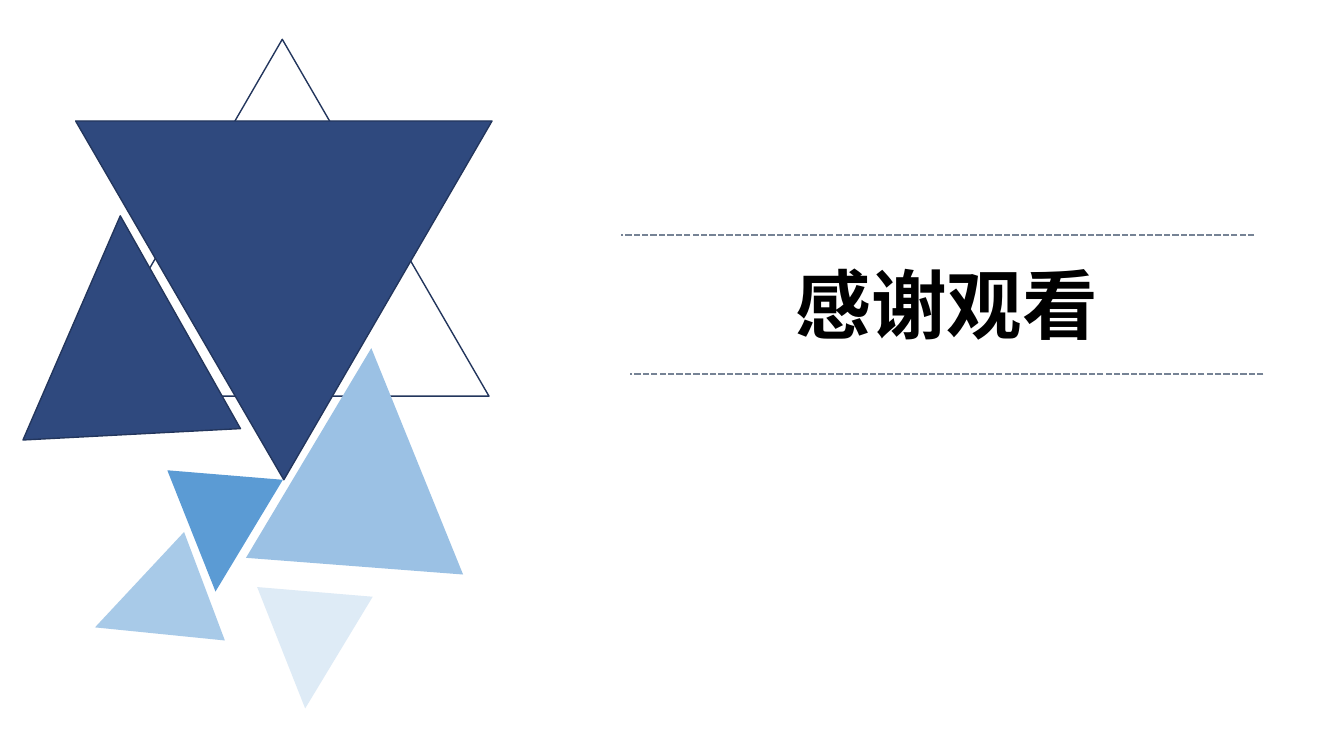
from dataclasses import dataclass

from lxml import etree
from pptx import Presentation
from pptx import util as u
from pptx.dml.color import RGBColor
from pptx.enum import dml, shapes, text
from pptx.oxml import ns


@dataclass(frozen=True)
class Theme:
    navy: str = "2F497E"
    outline: str = "23365D"
    blue: str = "5B9BD4"
    light_blue: str = "9BC1E4"
    rule: str = "768395"
    title: str = "000000"
    font: str = "Noto Sans CJK SC"
    title_size: int = 54
    outline_width: float = 1
    rule_width: float = 1.5


THEME = Theme()


def add_triangle(slide, box, rotation=0, fill=None, line=None, opacity=100):
    shape = slide.shapes.add_shape(
        shapes.MSO_SHAPE.ISOSCELES_TRIANGLE, *map(u.Inches, box))
    shape.rotation = rotation
    shape.shadow.inherit = False
    if fill:
        shape.fill.solid()
        shape.fill.fore_color.rgb = RGBColor.from_string(fill)
    else:
        shape.fill.background()
    if opacity < 100:
        color = shape._element.spPr.find(".//" + ns.qn("a:srgbClr"))
        etree.SubElement(color, ns.qn("a:alpha"), val=str(opacity * 1000))
    if line:
        shape.line.color.rgb = RGBColor.from_string(line)
        shape.line.width = u.Pt(THEME.outline_width)
    else:
        shape.line.fill.background()


def add_dashed_rule(slide, left, top, width):
    rule = slide.shapes.add_connector(
        shapes.MSO_CONNECTOR.STRAIGHT, u.Inches(left + width), u.Inches(top),
        u.Inches(left), u.Inches(top))
    rule.line.color.rgb = RGBColor.from_string(THEME.rule)
    rule.line.width = u.Pt(THEME.rule_width)
    rule.line.dash_style = dml.MSO_LINE.SQUARE_DOT
    etree.SubElement(rule._element.spPr, ns.qn("a:effectLst"))


def write_text(shape, wording, *, font, size, color, bold=False,
               align=text.PP_ALIGN.CENTER):
    frame = shape.text_frame
    frame.word_wrap = True
    frame.auto_size = text.MSO_AUTO_SIZE.NONE
    frame.vertical_anchor = text.MSO_ANCHOR.MIDDLE
    frame.margin_left = frame.margin_right = 0
    paragraph = frame.paragraphs[0]
    paragraph.alignment = align
    run = paragraph.add_run()
    run.text = wording
    run.font.name = font
    run.font.size = u.Pt(size)
    run.font.bold = bold
    run.font.color.rgb = RGBColor.from_string(color)
    etree.SubElement(run.font._element, ns.qn("a:ea"), typeface=font)


def place_title(slide, wording, box):
    title = slide.shapes.title
    title.left, title.top, title.width, title.height = map(u.Inches, box)
    write_text(title, wording, font=THEME.font, size=THEME.title_size,
               color=THEME.title, bold=True)


def main():
    presentation = Presentation()
    presentation.slide_width = u.Inches(13.33)
    presentation.slide_height = u.Inches(7.5)
    title_only = presentation.slide_layouts[5]
    slide = presentation.slides.add_slide(title_only)

    place_title(slide, "感谢观看", (7.79, 2.5, 3.2, 1.01))
    for left, top in ((6.16, 2.33), (6.25, 3.71)):
        add_dashed_rule(slide, left, top, 6.28)

    medium, small = (2.16, 2.17), (1.15, 1.16)
    add_triangle(slide, (0.75, 0.39, 4.1, 3.54), line=THEME.outline)
    add_triangle(slide, (0.75, 1.2, 4.13, 3.56), 180, THEME.navy, THEME.outline)
    add_triangle(slide, (0.17, 2.14, *medium), 357, THEME.navy, THEME.outline)
    add_triangle(slide, (2.52, 3.45, *medium), 4.4, THEME.light_blue)
    for left, top, rotation, opacity in (
            (1.61, 4.71, 184.7, 100),
            (0.91, 5.44, 249.4, 53),
            (2.5, 5.87, 184.8, 20)):
        add_triangle(slide, (left, top, *small), rotation, THEME.blue,
                     opacity=opacity)

    presentation.save("out.pptx")


if __name__ == "__main__":
    main()
